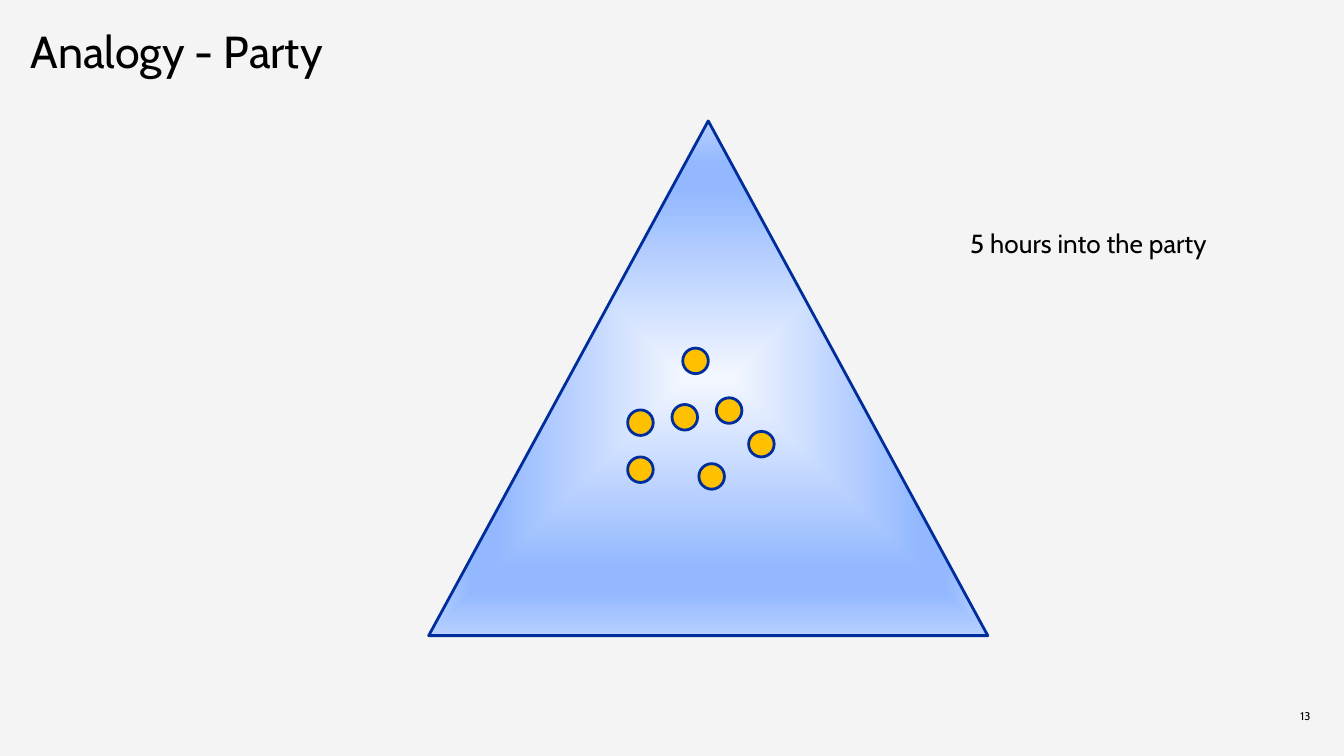
from pptx import Presentation
from pptx.dml.color import RGBColor
from pptx.enum.shapes import MSO_SHAPE
from pptx.enum.text import MSO_ANCHOR, PP_ALIGN
from pptx.oxml import parse_xml
from pptx.oxml.ns import nsdecls, qn
from pptx.util import Inches, Pt

TRIANGLE, OVAL = MSO_SHAPE.ISOSCELES_TRIANGLE, MSO_SHAPE.OVAL
TOP, MIDDLE = MSO_ANCHOR.TOP, MSO_ANCHOR.MIDDLE
LEFT, RIGHT = PP_ALIGN.LEFT, PP_ALIGN.RIGHT

FONT = "Cabin"
BACKGROUND = RGBColor(0xF4, 0xF4, 0xF4)
BLACK = RGBColor(0, 0, 0)
NAVY = RGBColor(0x00, 0x2D, 0x9C)
AMBER = RGBColor(0xFF, 0xC0, 0x00)

TITLE = "Analogy - Party"
CAPTION = "5 hours into the party"
PAGE_NUMBER = "13"

ROOM = (3.19, 0.9, 4.16, 3.83)
ROOM_STOPS = [(0, "F3F7FF"), (74, "93B8FF"), (83, "93B8FF"), (100, "B7D0FF")]
GUEST_SIZE = 0.19
GUESTS = [(5.08, 2.59), (4.67, 3.05), (5.57, 3.21), (4.67, 3.4),
          (5, 3.01), (5.33, 2.96), (5.2, 3.45)]


def add_text(s, text, box, size, align=LEFT, anchor=TOP, inset=(0, 0), wrap=True):
    tb = s.shapes.add_textbox(*map(Inches, box))
    tf = tb.text_frame
    tf.word_wrap = wrap
    tf.vertical_anchor = anchor
    tf.margin_left = tf.margin_right = Inches(inset[0])
    tf.margin_top = tf.margin_bottom = Inches(inset[1])
    p = tf.paragraphs[0]
    p.alignment = align
    r = p.add_run()
    r.text = text
    r.font.name, r.font.size = FONT, Pt(size)
    r.font.color.rgb = BLACK
    return p


def add_outlined(s, kind, box):
    sp = s.shapes.add_shape(kind, *map(Inches, box))
    sp.shadow.inherit = False
    sp.line.color.rgb = NAVY
    sp.line.width = Pt(1.5)
    return sp


def fill_from_centre(sp, stops):
    """Fill with a gradient that follows the shape outwards from its centre."""
    gs = "".join(f'<a:gs pos="{pos * 1000}"><a:srgbClr val="{colour}"/></a:gs>'
                 for pos, colour in stops)
    sp.element.spPr.find(qn("a:prstGeom")).addnext(parse_xml(
        f'<a:gradFill {nsdecls("a")} rotWithShape="1"><a:gsLst>{gs}</a:gsLst>'
        '<a:path path="shape">'
        '<a:fillToRect l="50000" t="50000" r="50000" b="50000"/>'
        '</a:path></a:gradFill>'))


prs = Presentation()
prs.slide_width = Inches(10)
prs.slide_height = prs.slide_width * 9 // 16
s = prs.slides.add_slide(prs.slide_layouts[6])
s.background.fill.solid()
s.background.fill.fore_color.rgb = BACKGROUND

add_text(s, TITLE, (0.23, 0.22, 4.53, 0.88), 24).line_spacing = 0.9
add_text(s, PAGE_NUMBER, (7.75, 5.24, 2, 0.18), 6, RIGHT, MIDDLE)

fill_from_centre(add_outlined(s, TRIANGLE, ROOM), ROOM_STOPS)
for x, y in GUESTS:
    guest = add_outlined(s, OVAL, (x, y, GUEST_SIZE, GUEST_SIZE))
    guest.fill.solid()
    guest.fill.fore_color.rgb = AMBER

add_text(s, CAPTION, (7.12, 1.64, 2.09, 0.34), 14, inset=(0.1, 0.05), wrap=False)

prs.save("out.pptx")
